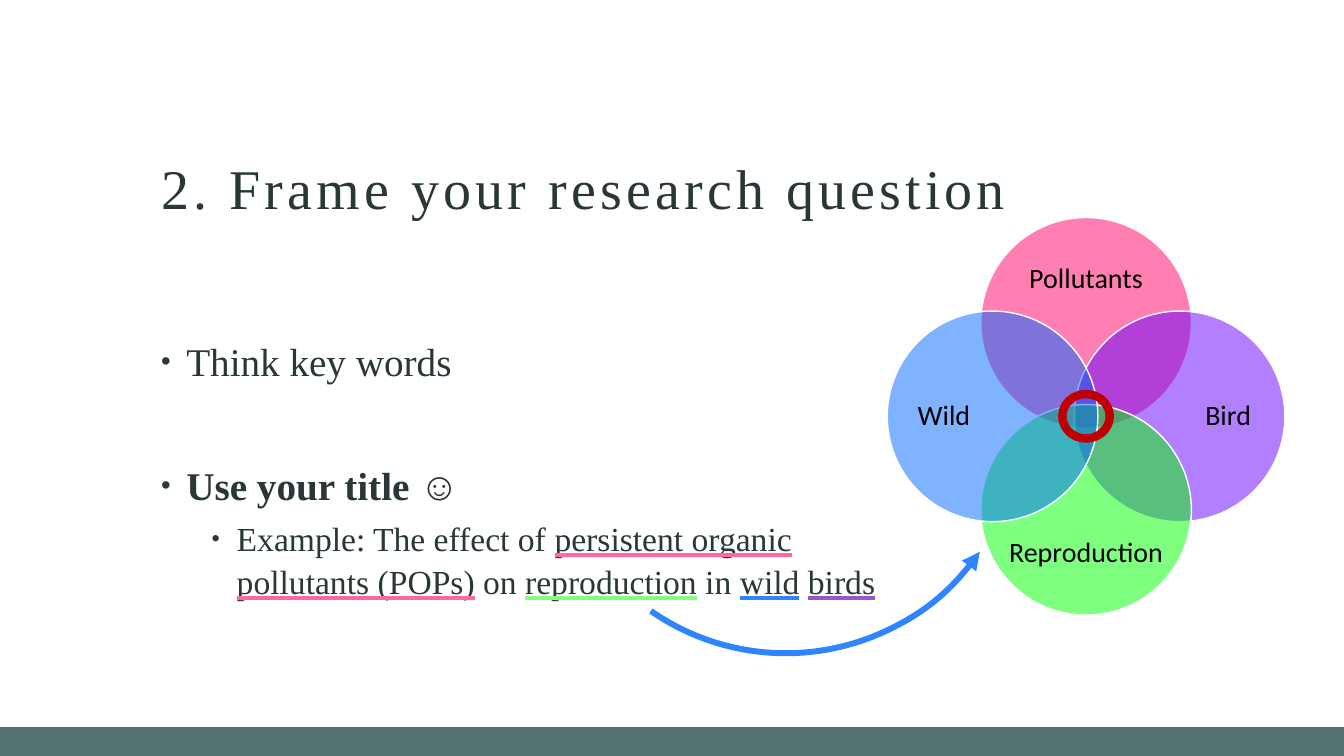
from lxml import etree
from pptx import Presentation
from pptx import util as u
from pptx.dml import color as dml
from pptx.enum import shapes, text
from pptx.oxml import ns

INK = "293737"
PINK, GREEN, BLUE, PURPLE = "FF66A3", "80FF80", "2F85FF", "9955CC"


def rgb(value):
    """Turn a hex string into a colour."""
    return dml.RGBColor.from_string(value)


def apply(target, values):
    """Set each attribute named in a dict."""
    for name, value in values.items():
        setattr(target, name, value)


def add_xml(parent, tag, **attributes):
    """Append a DrawingML element to a parent."""
    return etree.SubElement(parent, ns.qn(tag), attributes)


class SlideWriter:
    """Holds the text style and the current page."""

    def __init__(self, page, face, ink):
        """Keep the page and the default font."""
        self.page, self.face, self.ink = page, face, ink

    def box(self, left, top, width, height, anchor, margins=None):
        """Add a wrapping text box and return its frame."""
        frame = self.page.shapes.add_textbox(*map(u.Pt, (left, top, width, height))).text_frame
        apply(frame, {"word_wrap": True, "vertical_anchor": anchor})
        if margins is not None:
            apply(frame, {f"margin_{side}": u.Pt(margins)
                          for side in ("left", "top", "right", "bottom")})
        return frame

    def para(self, frame, first=False, bullet_at=None, **values):
        """Add a paragraph, with a bullet if a place is given."""
        para = frame.paragraphs[0] if first else frame.add_paragraph()
        if bullet_at is not None:
            props = para._p.get_or_add_pPr()
            props.set("marL", str(u.Pt(bullet_at + 18)))
            props.set("indent", str(u.Pt(-18)))
            add_xml(props, "a:buSzPct", val="70000")
            add_xml(props, "a:buFont", typeface="Arial")
            add_xml(props, "a:buChar", char="•")
        apply(para, values)
        return para

    def span(self, para, words, size, face=None, ink=None, bold=False, rule=None, spacing=0):
        """Add a run, with a coloured heavy underline if asked."""
        span = para.add_run()
        span.text = words
        apply(span.font, {"name": face or self.face, "size": u.Pt(size), "bold": bold})
        span.font.color.rgb = rgb(ink or self.ink)
        props = span.font._element
        if spacing:
            props.set("spc", str(spacing * 100))
        if rule:
            span.font.underline = text.MSO_UNDERLINE.HEAVY_LINE
            under = etree.Element(ns.qn("a:uFill"))
            add_xml(add_xml(under, "a:solidFill"), "a:srgbClr", val=rule)
            props.find(ns.qn("a:latin")).addprevious(under)

    def shape(self, kind, left, top, width, height, line, weight, fill=None, opacity=100):
        """Add a preset shape with its fill and outline."""
        shape = self.page.shapes.add_shape(kind, *map(u.Pt, (left, top, width, height)))
        shape.shadow.inherit = False
        shape.line.color.rgb = rgb(line)
        shape.line.width = u.Pt(weight)
        if fill:
            shape.fill.solid()
            shape.fill.fore_color.rgb = rgb(fill)
            if opacity < 100:
                tint = shape.fill._xPr.find(".//" + ns.qn("a:srgbClr"))
                add_xml(tint, "a:alpha", val=str(opacity * 1000))
        else:
            shape.fill.background()
        return shape

    def venn(self, center_x, center_y, radius, offset, sets):
        """Draw four overlapping labelled circles around a centre."""
        for label, fill, dx, dy in sets:
            self.shape(shapes.MSO_SHAPE.OVAL, center_x + dx * offset - radius,
                       center_y + dy * offset - radius, 2 * radius, 2 * radius,
                       "FFFFFF", 1, fill, 50)
            width, height = (58, 116) if dx else (116, 48)
            frame = self.box(center_x + dx * 101.5 - width / 2, center_y + dy * 98 - height / 2,
                             width, height, text.MSO_ANCHOR.MIDDLE, 0)
            para = self.para(frame, True, alignment=text.PP_ALIGN.CENTER, line_spacing=0.9)
            self.span(para, label, 20, "Calibri", "000000")

    def arc_arrow(self, left, top, size, turn, line, weight):
        """Draw an upward-curving quarter arc with an arrowhead."""
        arc = self.shape(shapes.MSO_SHAPE.ARC, left, top, size, size, line, weight)
        arc.rotation = turn
        arc._element.spPr.find(ns.qn("a:xfrm")).set("flipV", "1")
        add_xml(arc.line._get_or_add_ln(), "a:tailEnd", type="triangle")


def main():
    """Build the slide and save it."""
    deck = Presentation()
    apply(deck, {"slide_width": u.Pt(960), "slide_height": u.Pt(540)})
    writer = SlideWriter(deck.slides.add_slide(deck.slide_layouts[6]), "Times New Roman", INK)

    title = writer.box(108, 54, 747, 108, text.MSO_ANCHOR.BOTTOM)
    writer.span(writer.para(title, True, line_spacing=0.9),
                "2. Frame your research question", 40, spacing=3)

    body = writer.box(108, 180, 525, 308, text.MSO_ANCHOR.MIDDLE)
    writer.span(writer.para(body, True, 0, line_spacing=1.06), "Think key words", 28)
    writer.span(writer.para(body, bullet_at=0, line_spacing=1.06, space_before=u.Pt(53)),
                "Use your title ☺", 28, bold=True)
    example = writer.para(body, bullet_at=36, line_spacing=1.06, space_before=u.Pt(5), level=1)
    for words, rule in (("Example: The effect of ", None),
                        ("persistent organic pollutants (POPs)", PINK), (" on ", None),
                        ("reproduction", GREEN), (" in ", None),
                        ("wild", BLUE), (" ", None), ("birds", PURPLE)):
        writer.span(example, words, 24, rule=rule)

    writer.venn(775.8, 297.4, 75.2, 66.8, (("Pollutants", "FF0066", 0, -1),
                                           ("Bird", "6600FF", 1, 0),
                                           ("Reproduction", "00FF00", 0, 1),
                                           ("Wild", "0066FF", -1, 0)))
    writer.arc_arrow(392.4, 128.9, 337.7, 34.8, BLUE, 4.25)
    writer.shape(shapes.MSO_SHAPE.RECTANGLE, 0, 520, 960, 20, "557272", 1, "557272")
    writer.shape(shapes.MSO_SHAPE.OVAL, 758.9, 281.5, 33.8, 31.7, "C00000", 6)
    deck.save("out.pptx")


if __name__ == "__main__":
    main()
